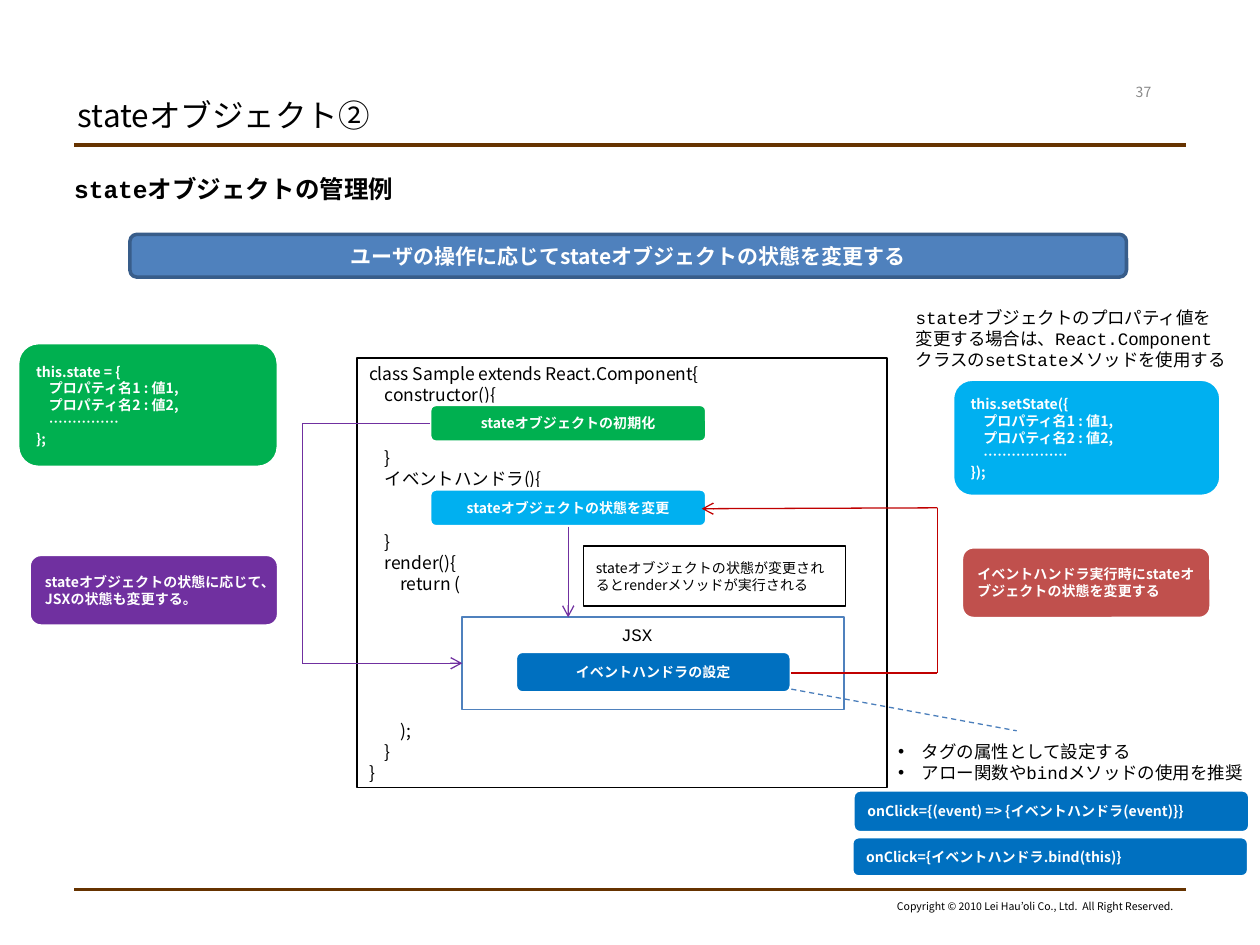
from dataclasses import dataclass
from typing import Optional

from lxml import etree
from pptx import Presentation
from pptx import util as u
from pptx.dml.color import RGBColor
from pptx.enum import dml, shapes, text
from pptx.oxml import ns

Pt = u.Pt
BLACK = RGBColor(0x00, 0x00, 0x00)
WHITE = RGBColor(0xFF, 0xFF, 0xFF)
GRAY = RGBColor(0x89, 0x89, 0x89)
BROWN = RGBColor(0x66, 0x33, 0x00)
STEEL = RGBColor(0x4F, 0x81, 0xBD)
STEEL_DARK = RGBColor(0x38, 0x5D, 0x8A)
STEEL_DASH = RGBColor(0x4A, 0x7E, 0xBB)
BLUE = RGBColor(0x00, 0x70, 0xC0)
SKY = RGBColor(0x00, 0xB0, 0xF0)
GREEN = RGBColor(0x00, 0xB0, 0x50)
PURPLE = RGBColor(0x70, 0x30, 0xA0)
RED = RGBColor(0xC0, 0x00, 0x00)
BRICK = RGBColor(0xC0, 0x50, 0x4D)
SANS, MONO = "Noto Sans CJK JP", "Courier New"
LEFT, CENTER, RIGHT = text.PP_ALIGN.LEFT, text.PP_ALIGN.CENTER, text.PP_ALIGN.RIGHT
ROUND, RECT = shapes.MSO_SHAPE.ROUNDED_RECTANGLE, shapes.MSO_SHAPE.RECTANGLE
LEADING = 1.2  # line pitch relative to the font size


@dataclass(frozen=True)
class Style:
    size: float = 8
    color: RGBColor = WHITE
    bold: bool = False
    font: str = SANS
    align: text.PP_ALIGN = LEFT
    bullet: bool = False


@dataclass(frozen=True)
class Box:
    at: tuple[float, float, float, float]
    words: str
    style: Style
    fill: Optional[RGBColor] = None
    line: RGBColor = WHITE
    width: float = 2
    kind: shapes.MSO_SHAPE = ROUND


@dataclass(frozen=True)
class Label:
    at: tuple[float, float, float, float]
    words: str
    style: Style
    middle: bool = False
    wrap: bool = True


@dataclass(frozen=True)
class Line:
    ends: tuple[float, float, float, float]
    color: RGBColor
    width: float = 0.75
    arrow: bool = False
    dash: bool = False


NOTE = Style(bold=True)
STEP = Style(bold=True, align=CENTER)
CODE = Style(10, BLACK)
MONO_TEXT = Style(10, BLACK, font=MONO)

CLASS_CODE = """class Sample extends React.Component{
    constructor(){


    }
    イベントハンドラ(){


    }
    render(){
        return (






        );
    }
}"""
STATE_CODE = """this.state = {
    プロパティ名1 : 値1,
    プロパティ名2 : 値2,
    ……………
};"""
SET_STATE_CODE = """this.setState({
    プロパティ名1 : 値1,
    プロパティ名2 : 値2,
    ………………
});"""

LABELS = [
    Label((503.3, 510.5, 174.2, 14.4), "Copyright © 2010 Lei Hau’oli Co., Ltd.  All Right Reserved.",
          Style(6, BLACK, align=RIGHT), wrap=False),
    Label((37.4, 54, 476.6, 23), "stateオブジェクト②", Style(18, BLACK), middle=True),
    Label((35.3, 95.8, 648, 402.5), "stateオブジェクトの管理例", Style(14, BLACK, True, MONO)),
    Label((632.2, 43.9, 42.5, 17.3), "37", Style(8, GRAY, align=CENTER), middle=True),
    Label((347.8, 352.8, 32.4, 19.4), "JSX", MONO_TEXT, wrap=False),
    Label((516.2, 172.1, 196.6, 43.2),
          "stateオブジェクトのプロパティ値を\n変更する場合は、React.Component\n"
          "クラスのsetStateメソッドを使用する", MONO_TEXT, wrap=False),
    Label((506.2, 419.8, 216, 31.7),
          "タグの属性として設定する\nアロー関数やbindメソッドの使用を推奨",
          Style(10, BLACK, font=MONO, bullet=True), wrap=False),
]

BOXES = [
    Box((74.2, 133.9, 569.5, 24.5), "ユーザの操作に応じてstateオブジェクトの状態を変更する",
        Style(12, WHITE, True, align=CENTER), STEEL, STEEL_DARK),
    # Class outline and the steps inside it
    Box((203.8, 204.5, 303.1, 245.5), CLASS_CODE, CODE, None, BLACK, 1, RECT),
    Box((264.2, 352.8, 218.2, 52.6), "", CODE, None, STEEL, 1, RECT),
    Box((294.5, 372.2, 157.7, 23.8), "イベントハンドラの設定", STEP, BLUE),
    Box((245.5, 231.1, 158.4, 21.6), "stateオブジェクトの初期化", STEP, GREEN),
    Box((245.5, 279.4, 158.4, 21.6), "stateオブジェクトの状態を変更", STEP, SKY),
    Box((333.4, 311.8, 149.8, 34.6),
        "stateオブジェクトの状態が変更されるとrenderメソッドが実行される",
        Style(8, BLACK), WHITE, BLACK, 1, RECT),
    # Explanations around the class
    Box((10.1, 195.8, 149, 71.3), STATE_CODE, NOTE, GREEN),
    Box((544.3, 216.7, 153.4, 67), SET_STATE_CODE, NOTE, SKY),
    Box((487.4, 451.4, 226.8, 24.5), "onClick={(event) => {イベントハンドラ(event)}}", NOTE, BLUE),
    Box((486.7, 478.1, 226.8, 23), "onClick={イベントハンドラ.bind(this)}", NOTE, BLUE),
    Box((549.4, 312.5, 142.6, 41), "イベントハンドラ実行時にstateオブジェクトの状態を変更する", NOTE, BRICK),
    Box((16.6, 316.8, 142.6, 41), "stateオブジェクトの状態に応じて、JSXの状態も変更する。", NOTE, PURPLE),
]

LINES = [
    # Header and footer rules
    Line((42.5, 82.8, 677.5, 82.8), BROWN, 2.25),
    Line((42.5, 508.3, 677.5, 508.3), BROWN, 2.25),
    # Initial state to JSX
    Line((172.8, 241.9, 245.5, 241.9), PURPLE),
    Line((172.8, 241.9, 172.8, 379), PURPLE),
    Line((172.8, 379, 264.2, 379), PURPLE, arrow=True),
    # Event handler back to the state change
    Line((452.2, 384.5, 535.7, 384.5), RED),
    Line((535.7, 290.2, 535.7, 384.5), RED),
    Line((535.7, 290.2, 401, 290.7), RED, arrow=True),
    # State change to rendering, and the handler's remark
    Line((324.7, 301, 324.7, 352.8), PURPLE, arrow=True),
    Line((452.2, 393.8, 581, 417.6), STEEL_DASH, dash=True),
]


def write(tf, words: str, style: Style) -> None:
    """Fill a frame line by line; empty lines become space before the next."""
    pitch, gap, first = style.size * LEADING, 0, True
    for row in words.split("\n"):
        if not row:
            gap += pitch
            continue
        p = tf.paragraphs[0] if first else tf.add_paragraph()
        first = False
        p.add_run().text = row
        p.alignment = style.align
        p.line_spacing = Pt(pitch)
        if gap:
            p.space_before = Pt(gap)
            gap = 0
        if style.bullet:
            pr = p._p.get_or_add_pPr()
            pr.set("marL", str(Pt(13.5)))
            pr.set("indent", str(-Pt(13.5)))
            etree.SubElement(pr, ns.qn("a:buFont")).set("typeface", "Arial")
            etree.SubElement(pr, ns.qn("a:buChar")).set("char", "•")
        font = p.font
        font.size, font.bold, font.name = Pt(style.size), style.bold, style.font
        font.color.rgb = style.color
        etree.SubElement(font._element, ns.qn("a:ea")).set("typeface", SANS)


def add_label(s, label: Label) -> None:
    tf = s.shapes.add_textbox(*map(Pt, label.at)).text_frame
    tf.word_wrap = label.wrap
    tf.vertical_anchor = text.MSO_ANCHOR.MIDDLE if label.middle else text.MSO_ANCHOR.TOP
    if not label.wrap:
        tf.auto_size = text.MSO_AUTO_SIZE.SHAPE_TO_FIT_TEXT
    write(tf, label.words, label.style)


def add_box(s, box: Box) -> None:
    sp = s.shapes.add_shape(box.kind, *map(Pt, box.at))
    sp.shadow.inherit = False
    if box.fill is None:
        sp.fill.background()
    else:
        sp.fill.solid()
        sp.fill.fore_color.rgb = box.fill
    sp.line.color.rgb, sp.line.width = box.line, Pt(box.width)
    tf = sp.text_frame
    tf.word_wrap, tf.vertical_anchor = True, text.MSO_ANCHOR.MIDDLE
    write(tf, box.words, box.style)


def add_line(s, line: Line) -> None:
    c = s.shapes.add_connector(shapes.MSO_CONNECTOR.STRAIGHT, *map(Pt, line.ends))
    c.line.color.rgb, c.line.width = line.color, Pt(line.width)
    if line.dash:
        c.line.dash_style = dml.MSO_LINE.DASH
    if line.arrow:
        etree.SubElement(c.line._get_or_add_ln(), ns.qn("a:tailEnd")).set("type", "arrow")
    etree.SubElement(c._element.spPr, ns.qn("a:effectLst"))


def main() -> None:
    prs = Presentation()
    prs.slide_width, prs.slide_height = Pt(720), Pt(540)
    s = prs.slides.add_slide(prs.slide_layouts[6])
    for draw, items in ((add_box, BOXES), (add_line, LINES), (add_label, LABELS)):
        for item in items:
            draw(s, item)
    prs.save("out.pptx")


if __name__ == "__main__":
    main()
